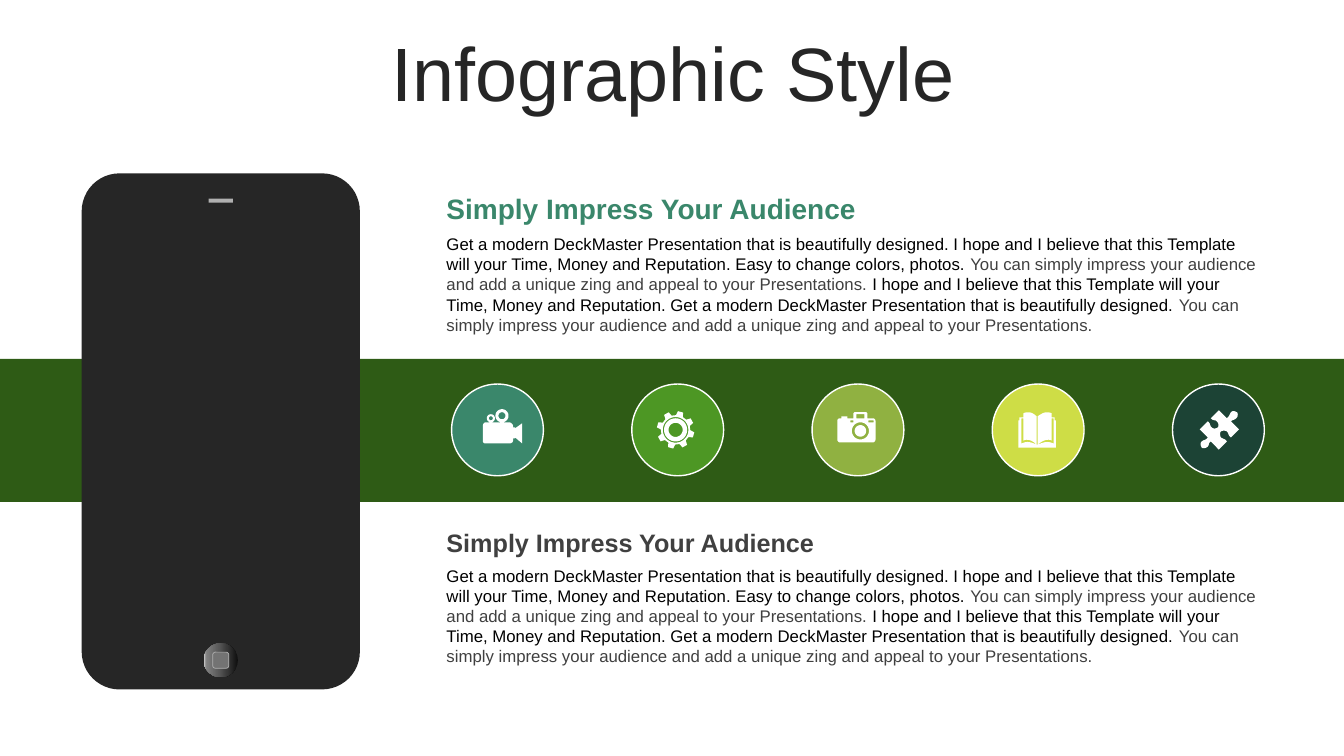
from dataclasses import dataclass
from math import cos, radians, sin

from lxml.etree import SubElement
from pptx import Presentation
from pptx.dml.color import RGBColor
from pptx.enum.shapes import MSO_SHAPE as Shape
from pptx.enum.text import MSO_ANCHOR as Anchor, MSO_AUTO_SIZE as AutoSize, PP_ALIGN as Align
from pptx.oxml.ns import qn
from pptx.util import Inches, Pt


@dataclass(frozen=True)
class Theme:
    font: str = "Arial"
    title_size: int = 54
    lead_size: int = 20
    heading_size: int = 18
    body_size: int = 12
    white: str = "FFFFFF"
    black: str = "000000"
    dark: str = "262626"
    gray: str = "404040"
    silver: str = "B0B0B0"
    key: str = "737373"
    band: str = "2E5B15"
    accents: tuple = ("3A876B", "4D9724", "90B141", "CEDD46", "1C4335")
    button: tuple = ((0, "0F0F0F"), (56, "595959"), (91, "808080"), (100, "BFBFBF"))


theme = Theme()
deck = Presentation()
deck.slide_width, deck.slide_height = Inches(13.333), Inches(7.5)
page = deck.slides.add_slide(deck.slide_layouts[5])
col, row = deck.slide_width / 100, deck.slide_height / 100


def write(para, text, size=theme.body_size, color=theme.black, bold=False):
    span = para.add_run()
    span.text = text
    span.font.name, span.font.size, span.font.bold = theme.font, Pt(size), bold
    span.font.color.rgb = RGBColor.from_string(color)


def paint(shape, fill, line=None, weight=1):
    shape.shadow.inherit = False
    shape.fill.solid()
    shape.fill.fore_color.rgb = RGBColor.from_string(fill)
    if line:
        shape.line.color.rgb = RGBColor.from_string(line)
        shape.line.width = Pt(weight)
    else:
        shape.line.fill.background()
    return shape


phone_parts = [
    (Shape.RECTANGLE, 0, 47.47, 100, 18.93, theme.band, None),
    (Shape.ROUNDED_RECTANGLE, 6.08, 22.93, 20.7, 68.27, theme.dark, None),
    (Shape.RECTANGLE, 15.53, 26.27, 1.8, 0.53, theme.silver, None),
    (Shape.OVAL, 15.15, 85.07, 2.55, 4.53, theme.dark, None),
    (Shape.ROUNDED_RECTANGLE, 15.83, 86.27, 1.2, 2.13, theme.key, theme.silver),
]
band, phone, speaker, button, key = [
    paint(page.shapes.add_shape(kind, int(left * col), int(top * row), int(width * col), int(height * row)),
          fill, line, 0.5)
    for kind, left, top, width, height, fill, line in phone_parts
]
phone.adjustments[0] = 0.136
button.fill.gradient()
button.fill.gradient_angle = 180
stops = button.fill._fill._gradFill.find(qn("a:gsLst"))
for stop in list(stops):
    stops.remove(stop)
for position, color in theme.button:
    stop = SubElement(stops, qn("a:gs"), pos=str(position * 1000))
    SubElement(stop, qn("a:srgbClr"), val=color)

title = page.shapes.title
title.left, title.top = int(2.62 * col), int(4.93 * row)
title.width, title.height = int(94.95 * col), int(10.53 * row)
title.text_frame.auto_size = AutoSize.NONE
title.text_frame.vertical_anchor = Anchor.MIDDLE
para = title.text_frame.paragraphs[0]
para.alignment, para.line_spacing = Align.CENTER, 0.9
write(para, "Infographic Style", size=theme.title_size, color=theme.dark)

heading = "Simply Impress Your Audience"
modern = "Get a modern DeckMaster Presentation that is beautifully designed. "
hope = "I hope and I believe that this Template will your Time, Money and Reputation. "
impress = "You can simply impress your audience and add a unique zing and appeal to your Presentations."
body = [
    (modern + hope + "Easy to change colors, photos. ", {}),
    (impress + " ", {"color": theme.gray}),
    (hope + modern, {}),
    (impress, {"color": theme.gray}),
]
text_blocks = [
    (24.67, 5.87, [(heading, {"size": theme.lead_size, "color": theme.accents[0], "bold": True})]),
    (30.27, 14.8, body),
    (69.07, 5.33, [(heading, {"size": theme.heading_size, "color": theme.gray, "bold": True})]),
    (74.13, 14.8, body),
]
for top, height, spans in text_blocks:
    box = page.shapes.add_textbox(int(32.48 * col), int(top * row), int(62.25 * col), int(height * row))
    box.text_frame.word_wrap = True
    for text, style in spans:
        write(box.text_frame.paragraphs[0], text, **style)

video = [
    [(8, 9, 2)], [(8, 9, 4)], [(19, 6.5, 3.5)], [(19, 6.5, 6.5)],
    [(3, 13), (26, 13), (28, 13, 30, 15, 30, 17), (30, 18), (32, 18), (32, 19), (39, 14), (39, 34),
     (32, 28), (32, 29), (30, 29), (30, 31), (30, 33, 28, 34, 26, 34), (3, 34),
     (1, 34, 0, 33, 0, 31), (0, 17), (0, 15, 1, 13, 3, 13)],
]
gear = [[(17.5, 18.5, radius)] for radius in (7, 11.5, 12.7)] + [[
    (17.5 + radius * cos(radians(tooth * 45 + 15.5 + turn)),
     18.5 + radius * sin(radians(tooth * 45 + 15.5 + turn)))
    for tooth in range(8)
    for turn, radius in ((-14, 14.6), (-8, 18.7), (8, 18.7), (14, 14.6))
]]
camera = [[(23, 18.5, 5.7)], [(23, 18.5, 8.5)]] + [
    [(left, top), (right, top), (right, bottom), (left, bottom)]
    for left, top, right, bottom in ((13, 8, 16, 10), (31, 8, 36, 10), (19, 2, 27, 6))
] + [
    [(17, 0), (29, 0), (30, 1), (30, 6), (35, 6), (37, 6, 38, 7, 38, 9), (38, 27),
     (38, 28, 37, 30, 35, 30), (3, 30), (1, 30, 0, 28, 0, 27), (0, 9), (0, 7, 1, 6, 3, 6),
     (4, 6), (4, 4), (10, 4), (10, 6), (16, 6), (16, 1)],
]
book = [
    [(18, 32), (19, 32), (25, 30, 28, 28, 35, 31), (35, 6), (33, 6), (33, 28),
     (29, 26, 24, 28, 19, 32), (19, 4), (22, 2, 25, 0, 28, 0), (29, 0, 31, 0, 33, 1), (33, 5),
     (36, 5), (36, 8), (37, 8), (37, 35), (0, 35), (0, 8), (1, 8), (1, 5), (5, 5), (5, 1),
     (7, 0, 8, 0, 10, 0), (13, 0, 16, 2, 18, 4), (18, 32), (14, 28, 9, 26, 5, 28), (5, 6),
     (3, 6), (3, 31), (9, 28, 13, 30, 18, 32)],
]
puzzle = [
    [(37, 2), (38, 3, 38, 6, 37, 7), (35, 10, 33, 9, 31, 11), (39, 19), (31, 27),
     (28, 25, 29, 23, 27, 21), (25, 20, 23, 20, 21, 21), (20, 22, 20, 25, 21, 27),
     (24, 29, 25, 28, 27, 31), (19, 39), (11, 31), (8, 33, 10, 34, 8, 36),
     (6, 38, 3, 38, 2, 37), (1, 35, 0, 33, 2, 31), (4, 29, 6, 30, 8, 27), (0, 19), (8, 11),
     (11, 13, 10, 16, 12, 17), (14, 19, 16, 18, 18, 17), (19, 16, 19, 13, 17, 11),
     (15, 9, 14, 11, 11, 8), (19, 0), (27, 8), (30, 5, 29, 5, 31, 2), (33, 0, 35, 1, 37, 2)],
]
icons = [(video, 31, 25), (gear, 26, 27), (camera, 25, 28), (book, 26, 28), (puzzle, 27, 26)]

for index, (color, (contours, inset_x, inset_y)) in enumerate(zip(theme.accents, icons)):
    left, top = int((33.6 + 13.41 * index) * col), int(50.8 * row)
    disc = page.shapes.add_shape(Shape.OVAL, left, top, int(6.83 * col), int(12.13 * row))
    paint(disc, color, theme.white)

    builder = None
    for contour in contours:
        points = []
        for step in contour:
            if len(step) == 2:
                points.append(step)
            elif len(step) == 3:
                x, y, radius = step
                points += [(x + radius * cos(radians(turn)), y + radius * sin(radians(turn)))
                           for turn in range(0, 360, 10)]
            else:
                curve = [points[-1], step[:2], step[2:4], step[4:]]
                for part in range(1, 9):
                    t = part / 8
                    weights = ((1 - t) ** 3, 3 * t * (1 - t) ** 2, 3 * t * t * (1 - t), t ** 3)
                    points.append(tuple(sum(w * point[axis] for w, point in zip(weights, curve))
                                        for axis in (0, 1)))
        points = [(x * 100, y * 100) for x, y in points]
        if builder is None:
            builder = page.shapes.build_freeform(*points[0], scale=Inches(1) / 10000)
        else:
            builder.move_to(*points[0])
        builder.add_line_segments(points[1:], close=True)
    icon = builder.convert_to_shape(left + Inches(inset_x / 100), top + Inches(inset_y / 100))
    paint(icon, theme.white)

deck.save("out.pptx")
